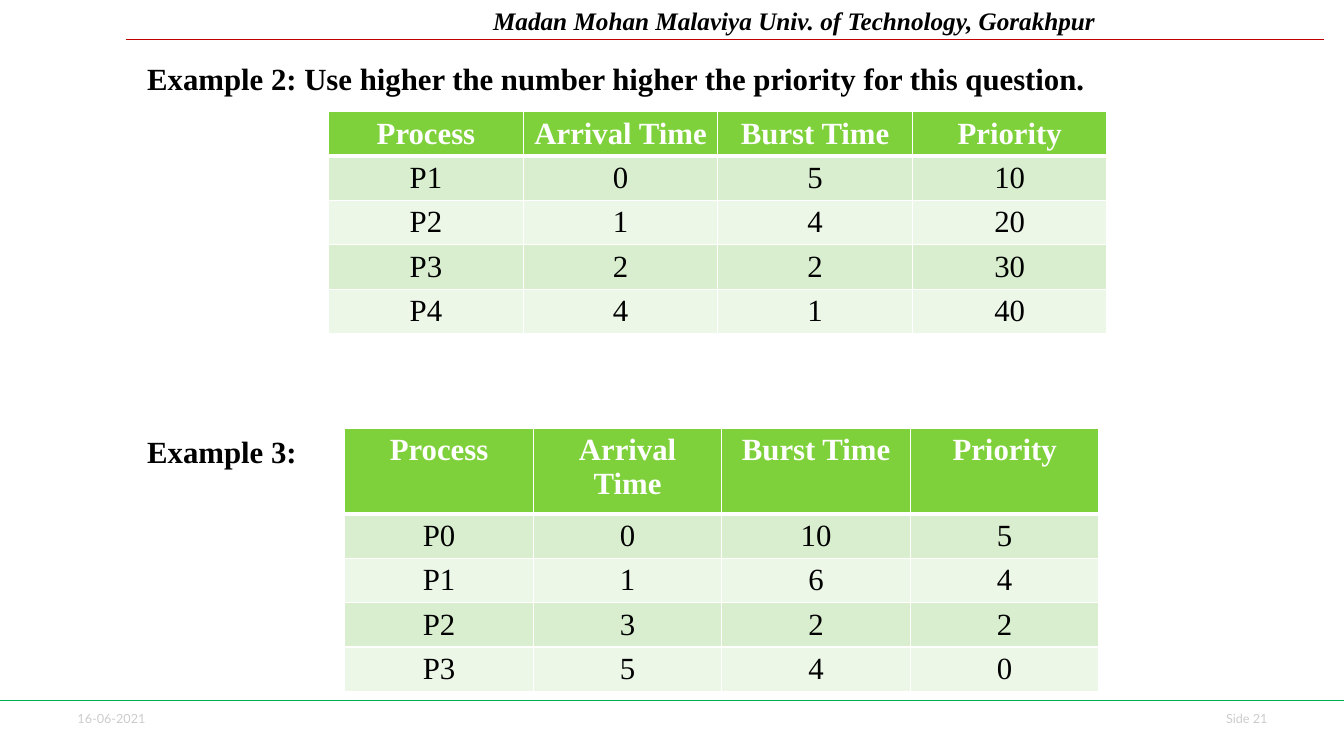
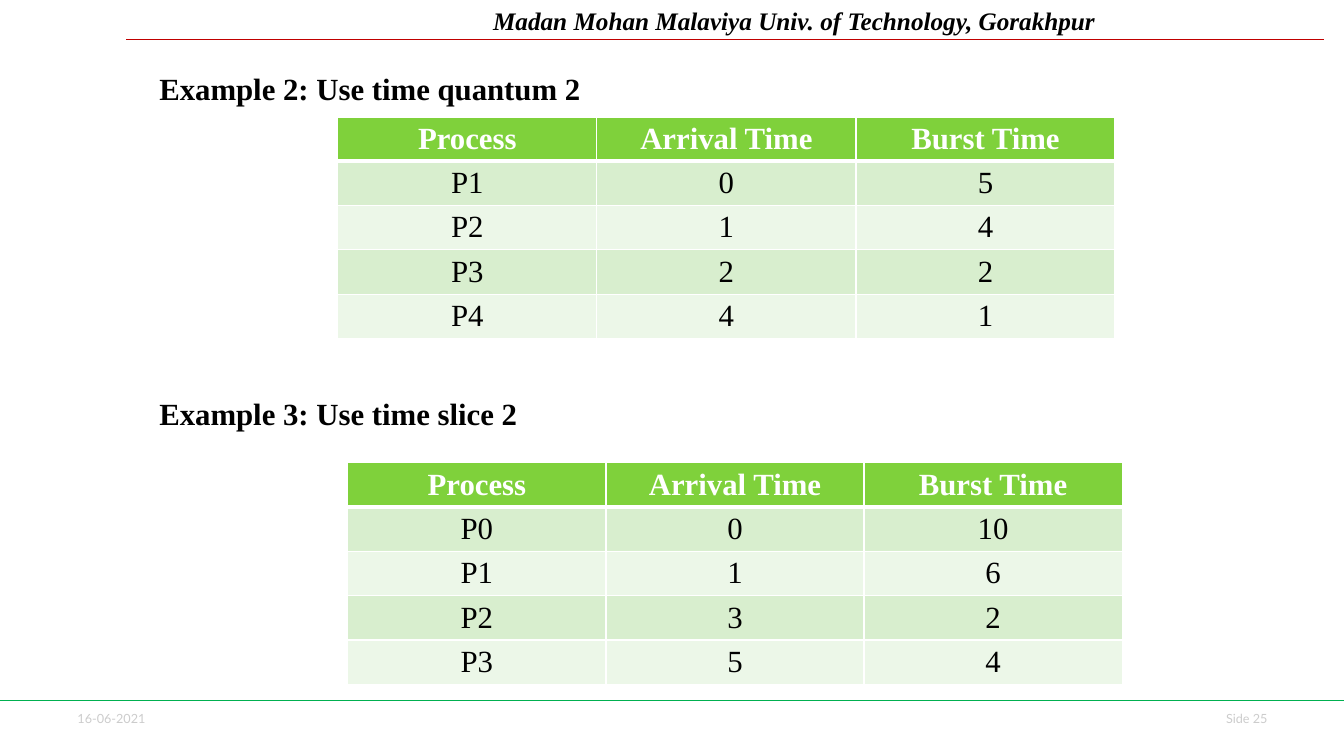
from pptx import Presentation
from pptx.dml.color import RGBColor as Rgb
from pptx.enum.shapes import MSO_CONNECTOR as Link
from pptx.enum.text import MSO_ANCHOR as Anchor, MSO_AUTO_SIZE as Fit, PP_ALIGN as Align
from pptx.oxml.ns import qn
from pptx.util import Inches, Pt
from lxml.etree import SubElement as Sub

SERIF, SANS = "Times New Roman", "Lato"
HEAD = dict(name=SERIF, size=Pt(18), bold=True, italic=True, color="000000")
BODY = dict(name=SERIF, size=Pt(22), bold=True, color="000000")
CELL = dict(BODY, bold=False)
TOP = dict(BODY, color="FFFFFF")
FOOT = dict(name=SANS, size=Pt(9), color="CCCCCC")
GREEN, BANDS, WHITE = "7FD13B", ("D8EECE", "ECF7E8"), "FFFFFF"
RED_RULE, GREEN_RULE = "C00000", "00B050"
ROW = 0.44


def paint(target, code):
    """Set a solid colour on a fill or a font colour."""
    if hasattr(target, "solid"):
        target.solid()
        target = target.fore_color
    target.rgb = Rgb.from_string(code)


class Deck:
    def __init__(self):
        self.prs = Presentation()
        self.prs.slide_width, self.prs.slide_height = Inches(13.33), Inches(7.5)
        self.slide = None

    def style(self, para, form):
        for key, value in form.items():
            if key == "color":
                paint(para.font.color, value)
            else:
                setattr(para.font, key, value)

    def place(self, shape, box):
        sides = ("left", "top", "width", "height")
        for side, size in zip(sides, box):
            setattr(shape, side, Inches(size))
        frame = shape.text_frame
        frame.word_wrap, frame.auto_size = True, Fit.NONE
        frame.vertical_anchor = Anchor.TOP
        return frame

    def put(self, para, text, form, align=Align.LEFT):
        para.text, para.alignment = text, align
        para.space_before = Pt(0)
        self.style(para, form)

    def label(self, text, box, align=Align.LEFT):
        shape = self.slide.shapes.add_textbox(*map(Inches, box))
        self.put(self.place(shape, box).paragraphs[0], text, FOOT, align)

    def rule(self, start, end, y, code):
        ends = map(Inches, (start, y, end, y))
        line = self.slide.shapes.add_connector(Link.STRAIGHT, *ends)
        paint(line.line.fill, code)
        line.line.width = Pt(0.75)
        Sub(line._element.spPr, qn("a:effectLst"))

    # Header, rules and footer shared by every slide
    def page(self, number):
        self.slide = self.prs.slides.add_slide(self.prs.slide_layouts[1])
        frame = self.place(self.slide.shapes.title, (4.79, 0, 8.54, 0.4))
        self.put(frame.paragraphs[0],
                 "Madan Mohan Malaviya Univ. of Technology, Gorakhpur", HEAD)
        self.rule(1.25, 13.13, 0.39, RED_RULE)
        self.rule(0, 13.33, 6.95, GREEN_RULE)
        self.label("16-06-2021", (0.67, 7, 1.38, 0.25))
        self.label(f"Side {number}", (11.56, 7, 1.11, 0.25), Align.RIGHT)

    # Example headings, set apart by a gap in points
    def body(self, lines, box, gap):
        frame = self.place(self.slide.placeholders[1], box)
        for i, text in enumerate(lines):
            para = frame.add_paragraph() if i else frame.paragraphs[0]
            props = para._p.get_or_add_pPr()
            props.set("marL", "0")
            props.set("indent", "0")
            Sub(props, qn("a:buNone"))
            self.put(para, text, BODY)
            para.space_before = Pt(gap if i else 0)

    def edges(self, cell, row):
        props = cell._tc.get_or_add_tcPr()
        widths = dict(L=1, R=1, T=3 if row == 1 else 1, B=1 if row else 3)
        for side, width in widths.items():
            line = Sub(props, qn(f"a:ln{side}"), w=str(Pt(width)))
            Sub(Sub(line, qn("a:solidFill")), qn("a:srgbClr"), val=WHITE)

    def table(self, rows, left, top, width, first=ROW):
        count = len(rows[0])
        high = first + ROW * (len(rows) - 1)
        box = map(Inches, (left, top, width * count, high))
        grid = self.slide.shapes.add_table(len(rows), count, *box).table
        for col in grid.columns:
            col.width = Inches(width)
        for r, row in enumerate(rows):
            grid.rows[r].height = Inches(ROW if r else first)
            for c, text in enumerate(row):
                cell = grid.cell(r, c)
                self.edges(cell, r)
                paint(cell.fill, BANDS[(r - 1) % 2] if r else GREEN)
                self.put(cell.text_frame.paragraphs[0], str(text),
                         CELL if r else TOP, Align.CENTER)


# Process data: arrival, burst, priority
NAMES = ("Process", "Arrival Time", "Burst Time", "Priority")
TWO = [NAMES, ("P1", 0, 5, 10), ("P2", 1, 4, 20), ("P3", 2, 2, 30), ("P4", 4, 1, 40)]
THREE = [NAMES, ("P0", 0, 10, 5), ("P1", 1, 6, 4), ("P2", 3, 2, 2), ("P3", 5, 4, 0)]


def main():
    deck = Deck()

    # Priority examples
    deck.page(21)
    deck.body(("Example 2: Use higher the number higher the priority for this question.",
               "Example 3:"), (1.36, 0.54, 10.74, 6.13), 240)
    deck.table(TWO, 3.26, 1.11, 1.93)
    deck.table(THREE, 3.42, 4.25, 1.87, first=0.85)

    # Time slice examples, without the priority column
    deck.page(25)
    deck.body(("Example 2: Use time quantum 2", "Example 3: Use time slice 2"),
              (1.48, 0.64, 10.39, 6.16), 206)
    deck.table([row[:3] for row in TWO], 3.35, 1.16, 2.57)
    deck.table([row[:3] for row in THREE], 3.45, 4.59, 2.56)

    deck.prs.save("out.pptx")


if __name__ == "__main__":
    main()
